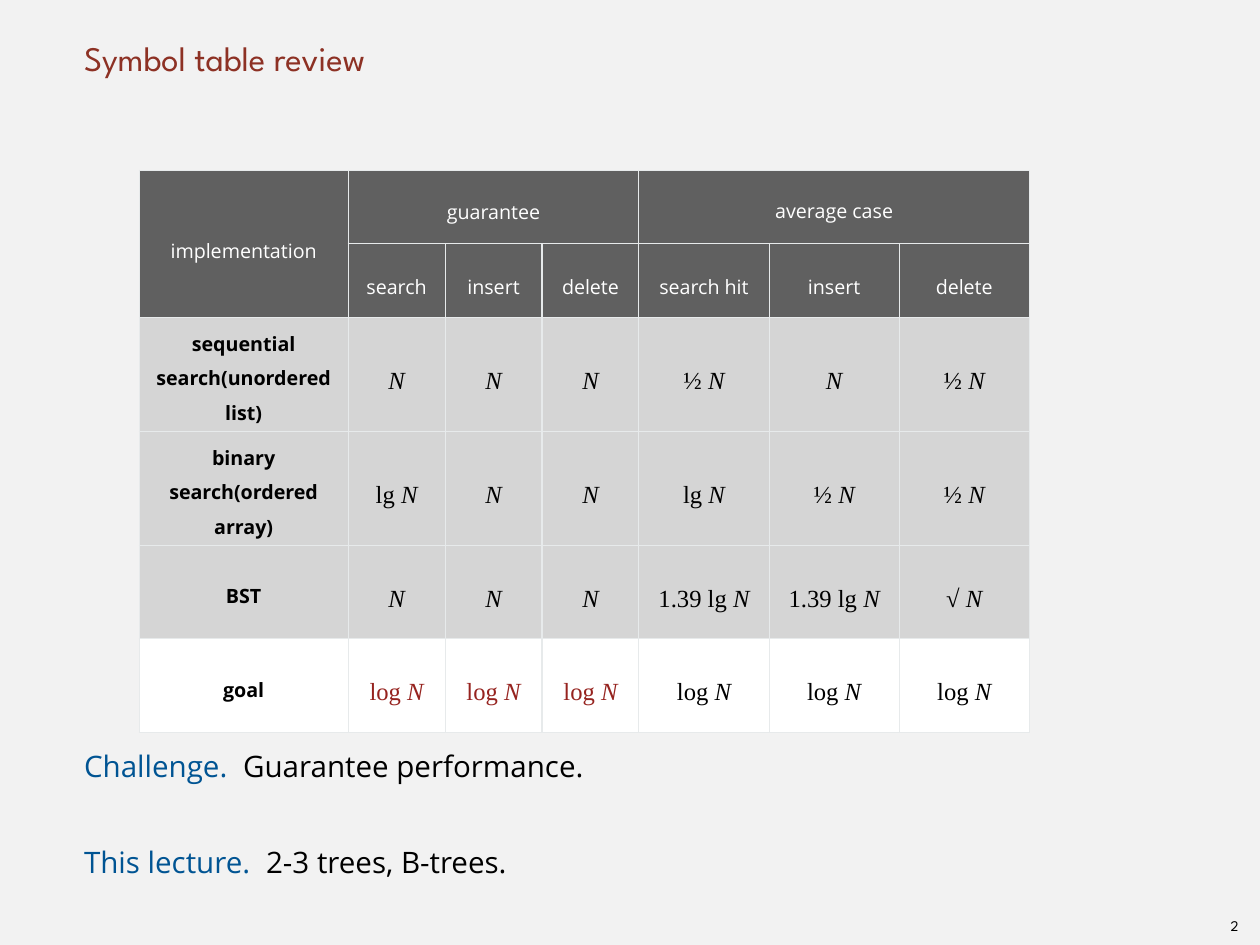
import pptx
import pptx.dml.color
import pptx.enum.text
import pptx.oxml
import pptx.oxml.ns
import pptx.util
from pptx.util import Cm

COLORS = {
    "page": "F2F2F2",
    "title": "8D3124",
    "lead": "005493",
    "ink": "000000",
    "header": "606060",
    "header_text": "FFFFFF",
    "body": "D5D5D5",
    "goal": "FFFFFF",
    "goal_text": "96231F",
    "rule": "E7EAEB",
}
TITLE_FONT, TEXT_FONT, MATH_FONT = "League Spartan", "Open Sans", "Times New Roman"
COLUMN_WIDTHS = [5.99] + [2.78] * 3 + [3.73] * 3
ROW_HEIGHTS = [2.11] * 2 + [3.27] * 2 + [2.68] * 2
GROUPS = [(1, "guarantee", 1.4), (4, "average case", 1.3)]
OPERATIONS = ["search", "insert", "delete", "search hit", "insert", "delete"]
COSTS = [
    ("sequential search(unordered list)", ["N", "N", "N", "½ N", "N", "½ N"]),
    ("binary search(ordered array)", ["lg N", "N", "N", "lg N", "½ N", "½ N"]),
    ("BST", ["N", "N", "N", "1.39 lg N", "1.39 lg N", "√ N"]),
    ("goal", ["log N"] * 6),
]
STATEMENTS = [
    ("Challenge.", "Guarantee performance.", 4.56, 0),
    ("This lecture.", "2-3 trees, B-trees.", 5.22, 39),
]
ALIGN = pptx.enum.text.PP_ALIGN
ANCHOR = pptx.enum.text.MSO_ANCHOR


def rgb(name):
    return pptx.dml.color.RGBColor.from_string(COLORS[name])


def style_font(font, face, size, color, bold=False):
    font.name = face
    font.size = pptx.util.Pt(size)
    font.bold = bold
    font.color.rgb = rgb(color)


def add_span(para, text):
    span = para.add_run()
    span.text = text
    return span


def add_box(page, left, top, width, height, anchor=ANCHOR.TOP, wrap=True, inset=0):
    frame = page.shapes.add_textbox(Cm(left), Cm(top), Cm(width), Cm(height)).text_frame
    frame.word_wrap = wrap
    frame.vertical_anchor = anchor
    frame.margin_left = frame.margin_right = Cm(inset)
    frame.margin_top = frame.margin_bottom = Cm(inset)
    return frame


def add_line(frame, text, size, color, align=ALIGN.LEFT):
    para = frame.paragraphs[0]
    para.alignment = align
    add_span(para, text)
    style_font(para.font, TITLE_FONT, size, color)


def add_statements(page):
    frame = add_box(page, 2.41, 21.08, 31.45, 4.7)
    for index, (lead, rest, tab, gap) in enumerate(STATEMENTS):
        para = frame.paragraphs[0] if index == 0 else frame.add_paragraph()
        tabs = f'<a:tabLst {pptx.oxml.ns.nsdecls("a")}><a:tab pos="{Cm(tab)}" algn="l"/></a:tabLst>'
        para._p.get_or_add_pPr().append(pptx.oxml.parse_xml(tabs))
        para.line_spacing = pptx.util.Pt(39)
        para.space_before = pptx.util.Pt(gap)
        style_font(para.font, TEXT_FONT, 24, "ink")
        add_span(para, lead).font.color.rgb = rgb("lead")
        add_span(para, "\t" + rest)


def format_cell(cell, fill):
    properties = cell._tc.get_or_add_tcPr()
    for side in "LRTB":
        properties.append(pptx.oxml.parse_xml(
            f'<a:ln{side} {pptx.oxml.ns.nsdecls("a")} w="12700"><a:solidFill>'
            f'<a:srgbClr val="{COLORS["rule"]}"/></a:solidFill></a:ln{side}>'))
    cell.fill.solid()
    cell.fill.fore_color.rgb = rgb(fill)
    cell.vertical_anchor = ANCHOR.MIDDLE
    cell.margin_left = cell.margin_right = Cm(0.14)
    cell.margin_top = cell.margin_bottom = Cm(0.14)


def start_cell(cell, spacing):
    para = cell.text_frame.paragraphs[0]
    para.alignment = ALIGN.CENTER
    para.line_spacing = spacing
    return para


def write_label(cell, text, color, spacing, bold=False):
    para = start_cell(cell, spacing)
    add_span(para, text)
    style_font(para.font, TEXT_FONT, 16, color, bold)


def write_cost(cell, text, color):
    para = start_cell(cell, 1.5)
    style_font(para.font, MATH_FONT, 20, color)
    factor = text.removesuffix("N")
    if factor:
        add_span(para, factor)
    add_span(para, "N").font.italic = True


def add_cost_table(page):
    table = page.shapes.add_table(
        len(ROW_HEIGHTS), len(COLUMN_WIDTHS), Cm(3.99), Cm(4.88),
        Cm(sum(COLUMN_WIDTHS)), Cm(sum(ROW_HEIGHTS))).table
    table.first_row = table.horz_banding = False
    for column, width in zip(table.columns, COLUMN_WIDTHS):
        column.width = Cm(width)
    fills = ["header"] * 2 + ["body"] * 3 + ["goal"]
    for row, height, fill in zip(table.rows, ROW_HEIGHTS, fills):
        row.height = Cm(height)
        for cell in row.cells:
            format_cell(cell, fill)

    table.cell(0, 0).merge(table.cell(1, 0))
    write_label(table.cell(0, 0), "implementation", "header_text", 1.5)
    for column, text, spacing in GROUPS:
        table.cell(0, column).merge(table.cell(0, column + 2))
        write_label(table.cell(0, column), text, "header_text", spacing)
    for column, text in enumerate(OPERATIONS, 1):
        write_label(table.cell(1, column), text, "header_text", 1.5)
    for row, (name, costs) in enumerate(COSTS, 2):
        write_label(table.cell(row, 0), name, "ink", 1.3, bold=True)
        for column, cost in enumerate(costs, 1):
            color = "goal_text" if name == "goal" and column <= 3 else "ink"
            write_cost(table.cell(row, column), cost, color)


def main():
    deck = pptx.Presentation()
    deck.slide_width, deck.slide_height = Cm(36.12), Cm(27.1)
    page = deck.slides.add_slide(deck.slide_layouts[6])
    page.background.fill.solid()
    page.background.fill.fore_color.rgb = rgb("page")

    number = add_box(page, 35.1, 26.15, 0.58, 0.81, ANCHOR.MIDDLE, wrap=False, inset=0.14)
    add_line(number, "2", 12, "ink", ALIGN.CENTER)
    title = add_box(page, 2.41, 0, 31.45, 2.26, ANCHOR.BOTTOM)
    add_line(title, "Symbol table review", 28, "title")
    add_statements(page)
    add_cost_table(page)
    deck.save("out.pptx")


if __name__ == "__main__":
    main()
